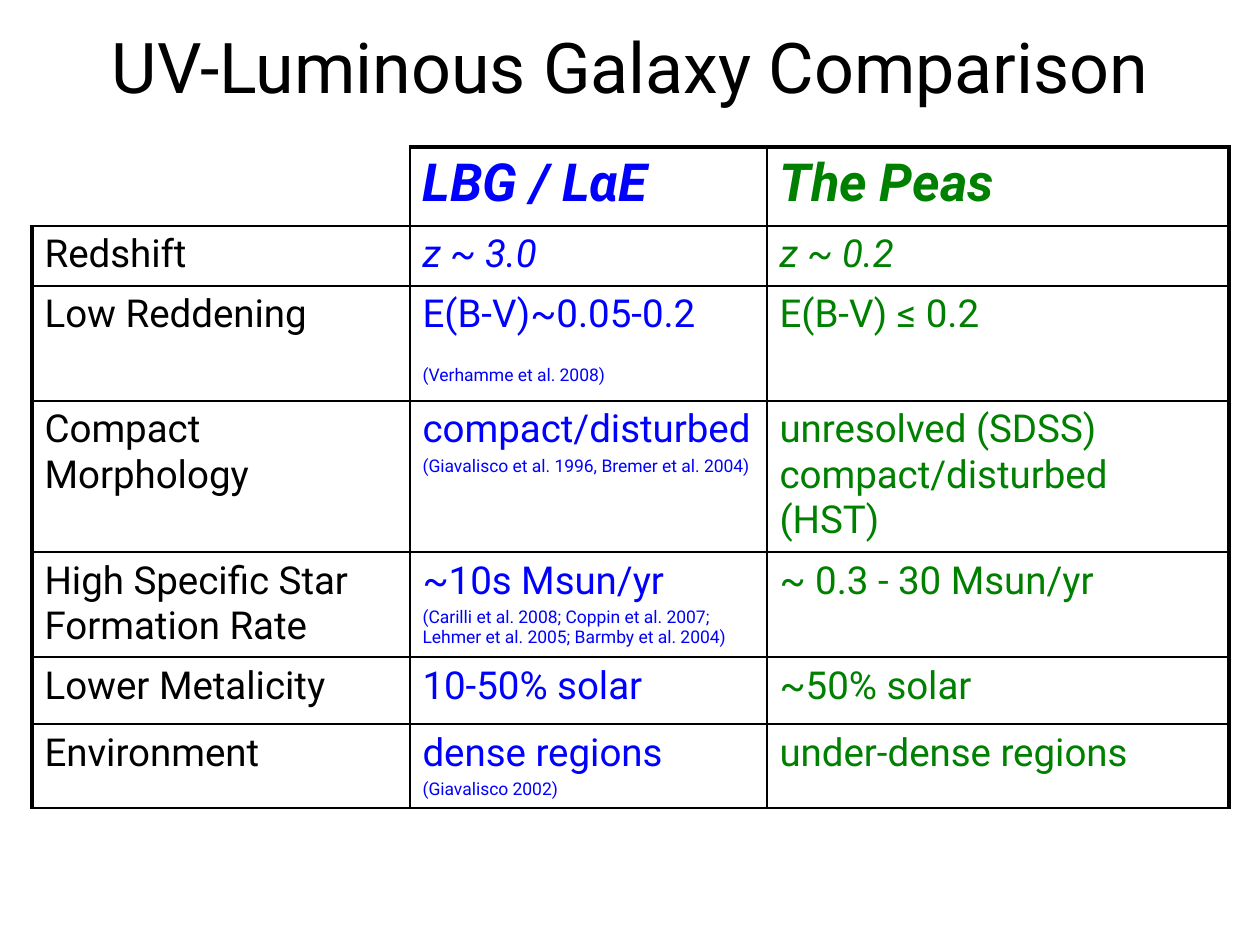
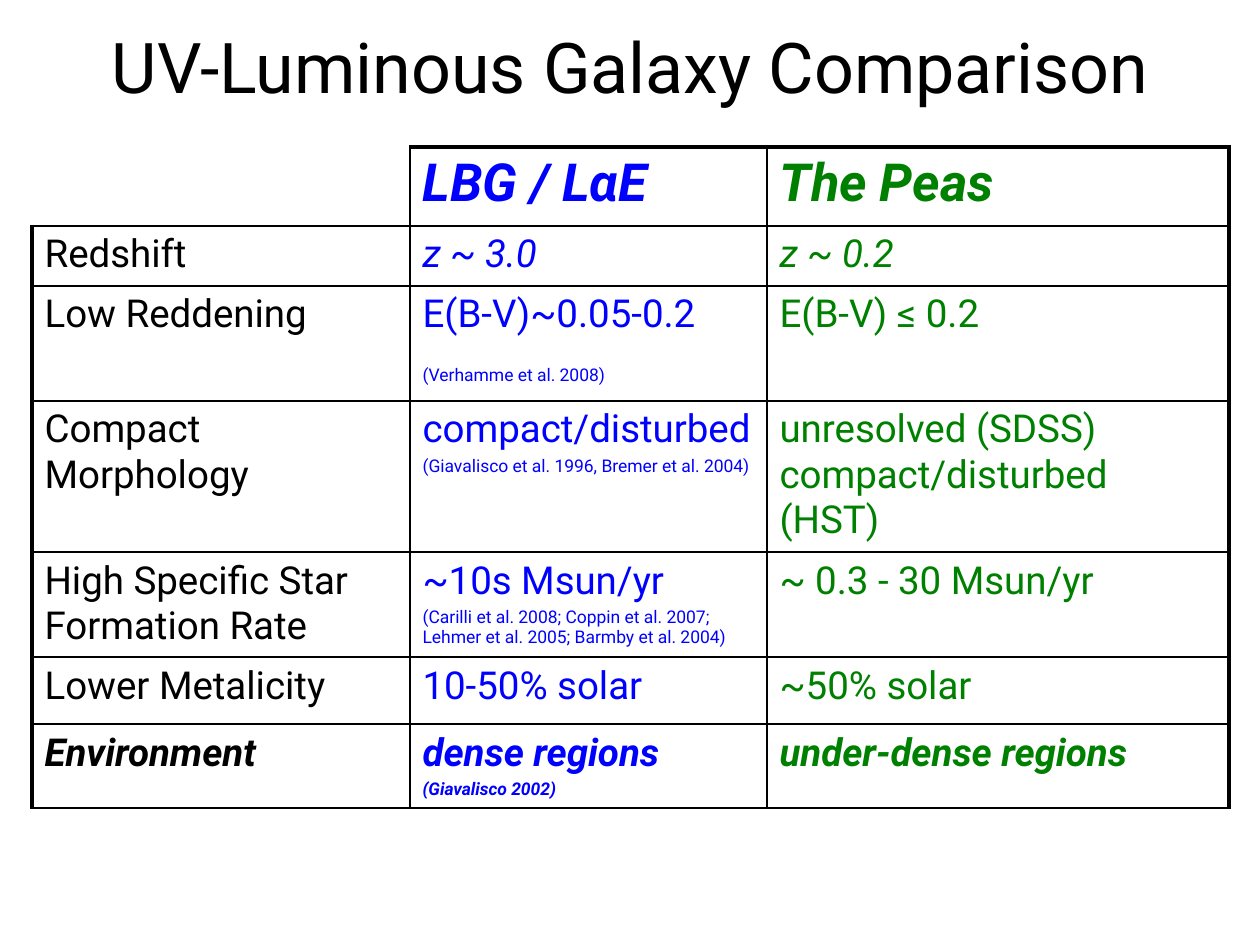
"""Build two slides comparing UV-luminous galaxies."""
from dataclasses import dataclass

import pptx
import pptx.dml.color
import pptx.enum.text
import pptx.oxml
import pptx.oxml.ns
import pptx.util

EMU_PER_PX = 914400 / 126
FONT = "Roboto"
COLORS = {"ink": "000000", "lbg": "0000FF", "peas": "008000"}
COLUMN_COLORS = ("ink", "lbg", "peas")
COLUMN_WIDTHS = (378, 357, 462)
THIN, THICK = 1, 2.25
BODY_SIZE, HEADER_SIZE, CITATION_SIZE = 22, 30, 10
TITLE = "UV-Luminous Galaxy Comparison"


@dataclass(frozen=True)
class Line:
    """One paragraph of a cell with its size and the space above it."""
    text: str
    size: float = BODY_SIZE
    gap: float = 0


@dataclass(frozen=True)
class Property:
    """One table row: a height and the lines of its three cells."""
    height: int
    label: tuple[Line, ...]
    lbg: tuple[Line, ...]
    peas: tuple[Line, ...]
    italic_values: bool = False
    bold: bool = False


def body(*texts: str) -> tuple[Line, ...]:
    """Return body-sized lines."""
    return tuple(Line(text) for text in texts)


def cited(text: str, citation: str, gap: float = 2) -> tuple[Line, ...]:
    """Return a value followed by its small citation."""
    return Line(text), Line(citation, CITATION_SIZE, gap)


PROPERTIES = (
    Property(79, (), (Line("LBG / LαE", HEADER_SIZE),),
             (Line("The Peas", HEADER_SIZE),), italic_values=True, bold=True),
    Property(60, body("Redshift"), body("z ~ 3.0"), body("z ~ 0.2"), italic_values=True),
    Property(115, body("Low Reddening"),
             cited("E(B-V)~0.05-0.2", "(Verhamme et al. 2008)", gap=15.7),
             body("E(B-V) ≤ 0.2")),
    Property(117, body("Compact Morphology"),
             cited("compact/disturbed", "(Giavalisco et al. 1996, Bremer et al. 2004)"),
             body("unresolved (SDSS)", "compact/disturbed (HST)")),
    Property(105, body("High Specific Star Formation Rate"),
             cited("~10s Msun/yr", "(Carilli et al. 2008; Coppin et al. 2007; "
                   "Lehmer et al. 2005; Barmby et al. 2004)"),
             body("~ 0.3 - 30 Msun/yr")),
    Property(67, body("Lower Metalicity"), body("10-50% solar"), body("~50% solar")),
    Property(84, body("Environment"), cited("dense regions", "(Giavalisco 2002)"),
             body("under-dense regions")),
)


def px(length: int) -> pptx.util.Emu:
    """Turn px into EMU."""
    return pptx.util.Emu(round(length * EMU_PER_PX))


def write_text(frame, lines: tuple[Line, ...], *, color: str, bold: bool = False,
               italic: bool = False, align=pptx.enum.text.PP_ALIGN.LEFT) -> None:
    """Write lines into a text frame in one format."""
    frame.word_wrap = True
    for index, line in enumerate(lines):
        paragraph = frame.add_paragraph() if index else frame.paragraphs[0]
        paragraph.alignment = align
        if index:
            paragraph.space_before = pptx.util.Pt(line.gap)
        run = paragraph.add_run()
        run.text = line.text
        font = run.font
        font.name, font.size = FONT, pptx.util.Pt(line.size)
        font.bold, font.italic = bold, italic
        font.color.rgb = pptx.dml.color.RGBColor.from_string(COLORS[color])


def set_borders(cell, widths: dict[str, float]) -> None:
    """Draw the cell sides L, R, T and B; a zero width hides a side."""
    properties = cell._tc.get_or_add_tcPr()
    namespace = pptx.oxml.ns.nsdecls("a")
    for side, width in widths.items():
        paint = (f'<a:solidFill><a:srgbClr val="{COLORS["ink"]}"/></a:solidFill>'
                 if width else "<a:noFill/>")
        properties.append(pptx.oxml.parse_xml(
            f'<a:ln{side} {namespace} w="{pptx.util.Pt(width)}">{paint}</a:ln{side}>'))


def border_widths(row: int, column: int) -> dict[str, float]:
    """Give thick outer sides and leave the top left corner open."""
    corner = row == 0 and column == 0
    left = THICK if column == 0 else THIN
    top = THICK if row == 0 else THIN
    return {"L": 0 if corner else left,
            "R": THICK if column == len(COLUMN_WIDTHS) - 1 else THIN,
            "T": 0 if corner else top,
            "B": THIN}


def add_title(slide) -> None:
    """Add the shared centred title."""
    title = slide.shapes.add_textbox(px(0), px(3), px(1260), px(126))
    title.text_frame.vertical_anchor = pptx.enum.text.MSO_ANCHOR.MIDDLE
    write_text(title.text_frame, (Line(TITLE, 40),), color="ink",
               align=pptx.enum.text.PP_ALIGN.CENTER)


def add_comparison(slide, highlighted: str) -> None:
    """Add the comparison table, stressing the row with the given label."""
    heights = [entry.height for entry in PROPERTIES]
    table = slide.shapes.add_table(
        len(PROPERTIES), len(COLUMN_WIDTHS), px(32), px(147),
        px(sum(COLUMN_WIDTHS)), px(sum(heights))).table
    table.first_row = table.horz_banding = False
    for column, width in zip(table.columns, COLUMN_WIDTHS):
        column.width = px(width)
    for row, entry in enumerate(PROPERTIES):
        table.rows[row].height = px(entry.height)
        stressed = entry.label == body(highlighted)
        for column, lines in enumerate((entry.label, entry.lbg, entry.peas)):
            cell = table.cell(row, column)
            set_borders(cell, border_widths(row, column))
            cell.fill.background()
            write_text(cell.text_frame, lines, color=COLUMN_COLORS[column],
                       bold=entry.bold or stressed,
                       italic=stressed or (entry.italic_values and column > 0))


def main() -> None:
    """Build and save the deck."""
    deck = pptx.Presentation()
    deck.slide_width, deck.slide_height = px(1260), px(945)
    for highlighted in ("", "Environment"):
        slide = deck.slides.add_slide(deck.slide_layouts[6])
        add_title(slide)
        add_comparison(slide, highlighted)
    deck.save("out.pptx")


if __name__ == "__main__":
    main()
